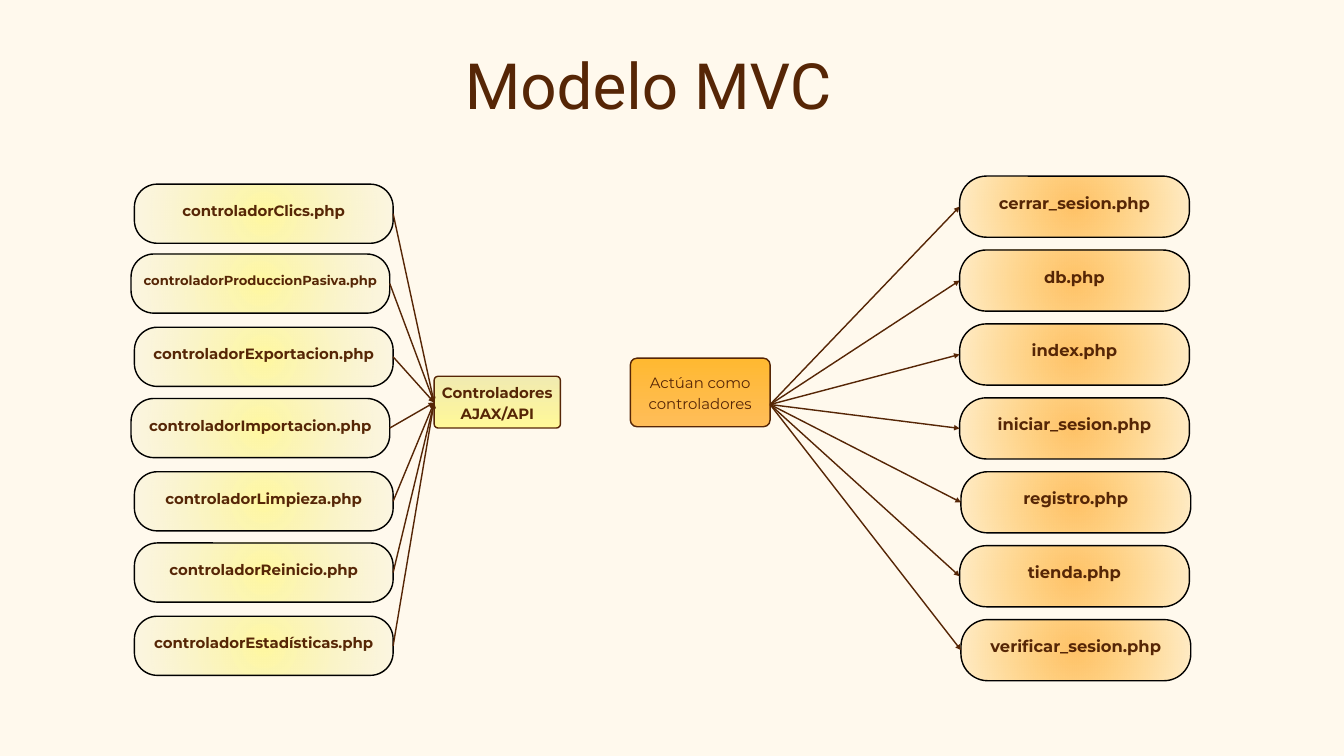
from pptx import Presentation
from pptx.dml.color import RGBColor
from pptx.enum.shapes import MSO_CONNECTOR, MSO_SHAPE
from pptx.enum.text import MSO_ANCHOR, PP_ALIGN
from pptx.oxml import parse_xml
from pptx.oxml.ns import nsdecls, qn
from pptx.util import Inches, Pt

CENTER, MIDDLE = PP_ALIGN.CENTER, MSO_ANCHOR.MIDDLE
ROUNDED, STRAIGHT = MSO_SHAPE.ROUNDED_RECTANGLE, MSO_CONNECTOR.STRAIGHT

CREAM, BROWN, BLACK = "FFF9ED", "562606", "000000"
YELLOWS = ("FFF899", "F1EBB0")
ORANGES = ("FFBD59", "FFB931")

# File name, left, top, text size
AJAX_FILES = [
    ("controladorClics.php", 2, 2.74, 16),
    ("controladorProduccionPasiva.php", 1.95, 3.78, 14),
    ("controladorExportacion.php", 2, 4.87, 16),
    ("controladorImportacion.php", 1.95, 5.93, 16),
    ("controladorLimpieza.php", 2, 7.02, 16),
    ("controladorReinicio.php", 2, 8.08, 16),
    ("controladorEstadísticas.php", 2, 9.17, 16),
]
AJAX_WIDTH, AJAX_HEIGHT = 3.85, 0.88

# File name, left
PAGE_FILES = [
    ("cerrar_sesion.php", 14.28),
    ("db.php", 14.28),
    ("index.php", 14.28),
    ("iniciar_sesion.php", 14.28),
    ("registro.php", 14.3),
    ("tienda.php", 14.28),
    ("verificar_sesion.php", 14.3),
]
PAGE_TOP, PAGE_STEP = 2.62, 1.1
PAGE_WIDTH, PAGE_HEIGHT = 3.42, 0.91

AJAX_HUB_ENTRY = (6.46, 5.99)
PAGE_HUB_EXIT = (11.46, 6.02)


def rgb(color):
    return RGBColor.from_string(color)


def write_text(shape, text, size, spacing, font="Montserrat", bold=False,
               wrap=True, lift=0):
    """Centre the text in the shape; lift is extra room below it."""
    frame = shape.text_frame
    frame.word_wrap = wrap
    frame.vertical_anchor = MIDDLE
    frame.margin_left = frame.margin_right = frame.margin_top = 0
    frame.margin_bottom = Inches(lift)
    frame.text = text
    for paragraph in frame.paragraphs:
        paragraph.alignment = CENTER
        paragraph.line_spacing = Pt(spacing)
        paragraph.font.name = font
        paragraph.font.size = Pt(size)
        paragraph.font.bold = bold
        paragraph.font.color.rgb = rgb(BROWN)


def fill_gradient(shape, colors, alphas, direction):
    stops = "".join(
        f'<a:gs pos="{position}"><a:srgbClr val="{color}">'
        f'<a:alpha val="{alpha * 1000}"/></a:srgbClr></a:gs>'
        for position, color, alpha in zip((0, 100000), colors, alphas))
    gradient = parse_xml(f'<a:gradFill {nsdecls("a")} rotWithShape="1">'
                         f'<a:gsLst>{stops}</a:gsLst>{direction}</a:gradFill>')
    shape.fill.background()
    properties = shape._element.spPr
    properties.replace(properties.find(qn("a:noFill")), gradient)


def add_rounded_box(slide, left, top, width, height, radius, line_color):
    box = slide.shapes.add_shape(ROUNDED, Inches(left), Inches(top),
                                 Inches(width), Inches(height))
    box.adjustments[0] = radius / height
    box.shadow.inherit = False
    box.line.color.rgb = rgb(line_color)
    box.line.width = Pt(1.5)
    return box


def add_file(slide, name, left, top, width, height, radius, colors, alphas,
             size, lift):
    pill = add_rounded_box(slide, left, top, width, height, radius, BLACK)
    fill_gradient(pill, colors, alphas,
                  '<a:path path="circle"><a:fillToRect l="50000" t="50000" '
                  'r="50000" b="50000"/></a:path>')
    write_text(pill, name, size, size * 1.4, bold=True, wrap=False, lift=lift)


def add_hub(slide, text, left, top, width, height, radius, colors, bold):
    hub = add_rounded_box(slide, left, top, width, height, radius, BROWN)
    fill_gradient(hub, colors, (100, 100), '<a:lin ang="16200000" scaled="0"/>')
    write_text(hub, text, 16, 22.4, bold=bold, lift=0.02)


def add_arrow(slide, start, end):
    arrow = slide.shapes.add_connector(
        STRAIGHT, *(Inches(value) for value in (*start, *end)))
    arrow.line.color.rgb = rgb(BROWN)
    arrow.line.width = Pt(1.5)
    arrow.line._get_or_add_ln().append(
        parse_xml(f'<a:tailEnd {nsdecls("a")} type="triangle"/>'))
    arrow._element.spPr.append(parse_xml(f'<a:effectLst {nsdecls("a")}/>'))


def main():
    presentation = Presentation()
    presentation.slide_width = Inches(20)
    presentation.slide_height = Inches(11.25)
    slide = presentation.slides.add_slide(presentation.slide_layouts[6])
    slide.background.fill.solid()
    slide.background.fill.fore_color.rgb = rgb(CREAM)

    # Title
    title = slide.shapes.add_textbox(Inches(5.62), Inches(1.05),
                                     Inches(8.05), Inches(0.95))
    write_text(title, "Modelo MVC", 68.3, 55.3, font="Roboto")
    title.text_frame.vertical_anchor = MSO_ANCHOR.TOP

    # Hubs
    add_hub(slide, "Controladores\nAJAX/API", 6.46, 5.6, 1.88, 0.77, 0.06,
            YELLOWS, bold=True)
    add_hub(slide, "Actúan como controladores", 9.38, 5.33, 2.08, 1.02, 0.1,
            ORANGES, bold=False)

    # AJAX controllers pointing at their hub
    for name, left, top, size in AJAX_FILES:
        add_file(slide, name, left, top, AJAX_WIDTH, AJAX_HEIGHT, 0.34,
                 YELLOWS, (91, 18), size, lift=0.13)
        add_arrow(slide, (left + AJAX_WIDTH, top + AJAX_HEIGHT / 2),
                  AJAX_HUB_ENTRY)

    # Pages that act as controllers, reached from their hub
    for row, (name, left) in enumerate(PAGE_FILES):
        top = PAGE_TOP + row * PAGE_STEP
        add_file(slide, name, left, top, PAGE_WIDTH, PAGE_HEIGHT, 0.4,
                 ORANGES, (91, 19), 17.5, lift=0.17)
        add_arrow(slide, PAGE_HUB_EXIT, (left, top + PAGE_HEIGHT / 2))

    presentation.save("out.pptx")


if __name__ == "__main__":
    main()
